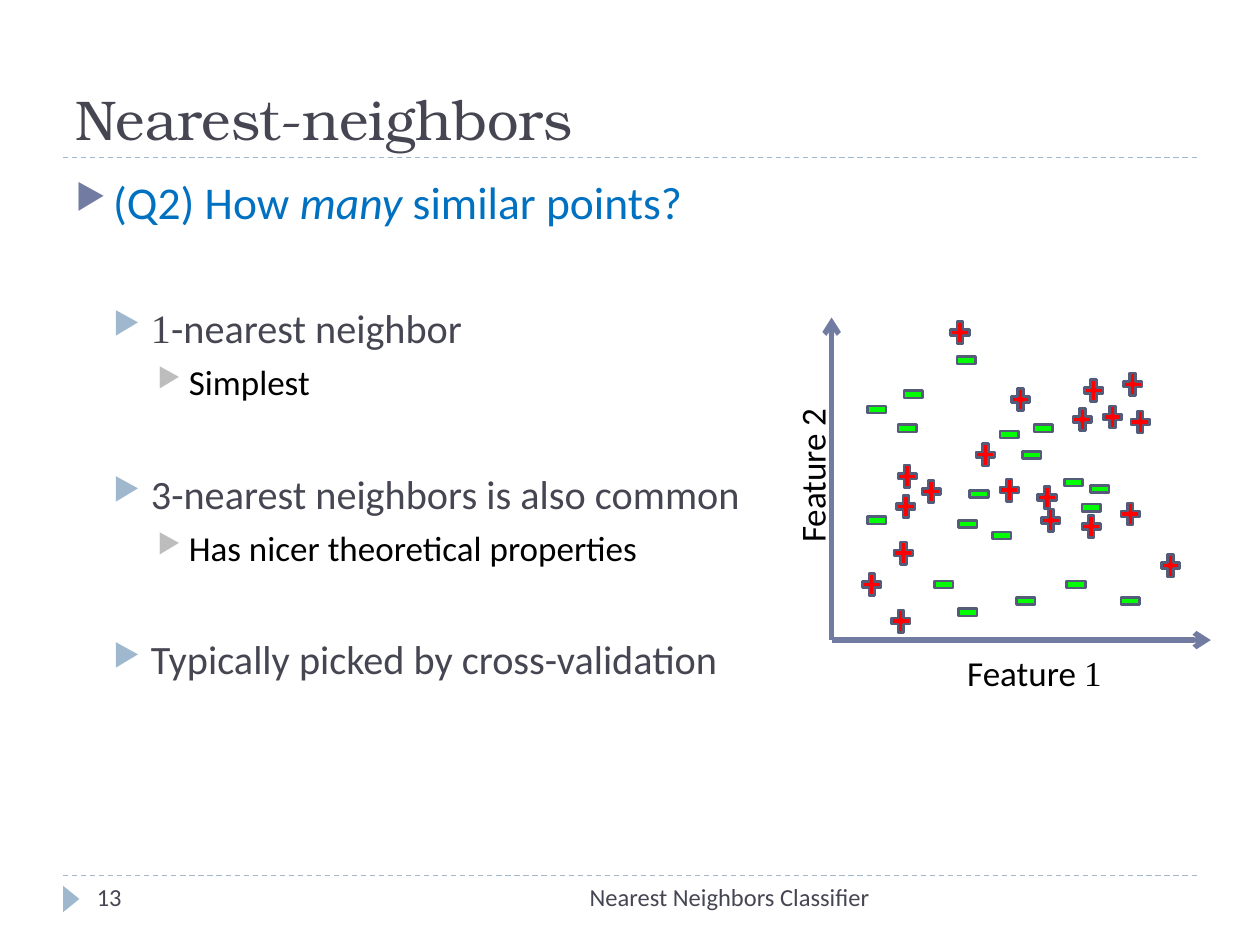
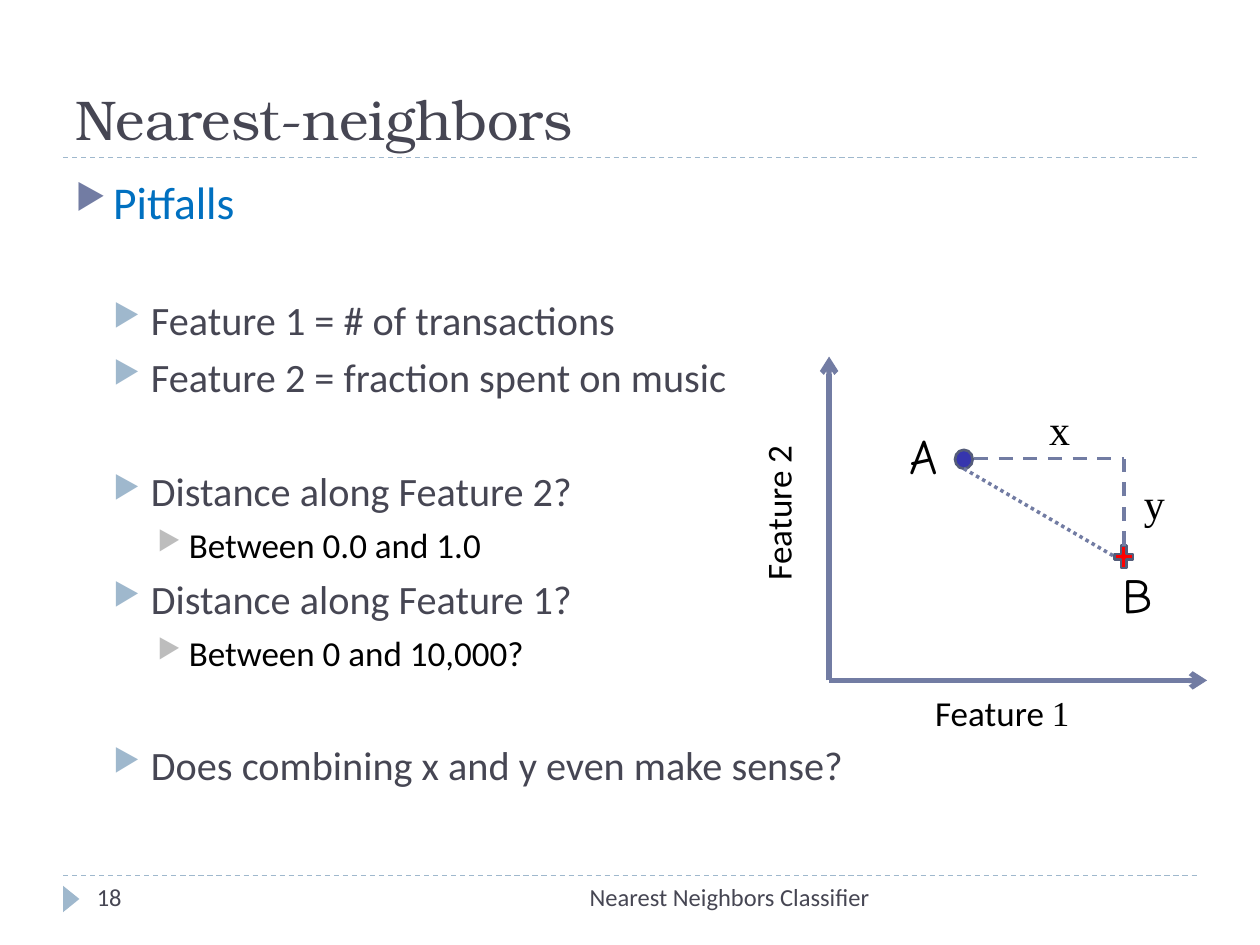
from dataclasses import dataclass

from lxml import etree
from pptx import Presentation
from pptx.dml.color import RGBColor
from pptx.enum.dml import MSO_LINE
from pptx.enum.shapes import MSO_CONNECTOR, MSO_SHAPE
from pptx.enum.text import MSO_ANCHOR, MSO_AUTO_SIZE, PP_ALIGN
from pptx.oxml.ns import qn
from pptx.util import Inches, Pt

LEFT, CENTER, RIGHT = PP_ALIGN.LEFT, PP_ALIGN.CENTER, PP_ALIGN.RIGHT
TOP, BOTTOM = MSO_ANCHOR.TOP, MSO_ANCHOR.BOTTOM
FIXED, GROW = MSO_AUTO_SIZE.NONE, MSO_AUTO_SIZE.SHAPE_TO_FIT_TEXT
DASH, DOTS = MSO_LINE.DASH, MSO_LINE.ROUND_DOT
PLUS, MINUS = MSO_SHAPE.MATH_PLUS, MSO_SHAPE.MATH_MINUS
OVAL, TRIANGLE = MSO_SHAPE.OVAL, MSO_SHAPE.ISOSCELES_TRIANGLE
STRAIGHT = MSO_CONNECTOR.STRAIGHT


@dataclass(frozen=True)
class Level:
    size: float
    color: str
    bullet: str
    margin: float
    indent: float
    before: float


@dataclass(frozen=True)
class Theme:
    ink: str = "464653"
    black: str = "000000"
    axis: str = "727CA3"
    rule: str = "9FB8CD"
    outline: str = "545C79"
    positive: str = "FF0000"
    negative: str = "00FF00"
    query: str = "000099"
    title_font: str = "TeX Gyre Bonum"
    body_font: str = "Calibri"
    math_font: str = "Times New Roman"
    hand_font: str = "Comic Neue"
    title_size: float = 32
    footer_size: float = 14
    label_size: float = 20
    side_size: float = 24
    point_size: float = 28
    levels: tuple = (
        Level(26, "0070C0", "727CA3", 0.3, -0.3, 6),
        Level(23, "464653", "9FB8CD", 0.6, -0.3, 5),
        Level(20, "000000", "BDBDBD", 0.9, -0.25, 5),
    )


def apply(target, formats):
    for attribute, value in formats.items():
        setattr(target, attribute, value)


def add_xml(parent, tag, **attributes):
    return etree.SubElement(parent, qn(tag), attributes)


class Deck:
    def __init__(self, theme):
        self.theme = theme
        self.presentation = Presentation()
        apply(self.presentation, {"slide_width": Inches(10), "slide_height": Inches(7.5)})
        self.slide = None

    def new_slide(self, title, number, footer):
        theme = self.theme
        self.slide = self.presentation.slides.add_slide(self.presentation.slide_layouts[6])
        for y in (6.95, 1.25):
            self.line((0.5, y), (9.5, y), theme.rule, 0.75, DASH)
        self.shape(TRIANGLE, (0.46, 7.07, 0.21, 0.13), theme.rule, outlined=False).rotation = 90
        self.text((0.5, 0.17, 9, 1.08), [(title, {"name": theme.title_font})],
                  theme.title_size, theme.ink, LEFT, BOTTOM, FIXED)
        for box, words, align in (((3.17, 6.95, 3.83, 0.4), footer, RIGHT),
                                  ((0.67, 6.95, 2.17, 0.4), number, LEFT)):
            self.text(box, [(words, {})], theme.footer_size, theme.ink, align, TOP, FIXED)

    def runs(self, paragraph, pieces, size, color):
        for words, formats in pieces:
            run = paragraph.add_run()
            run.text = words
            apply(run.font, {"name": self.theme.body_font, "size": Pt(size), **formats})
            run.font.color.rgb = RGBColor.from_string(color)

    def frame(self, box, anchor, fit):
        holder = self.slide.shapes.add_textbox(*map(Inches, box))
        apply(holder.text_frame, {"word_wrap": True, "auto_size": fit, "vertical_anchor": anchor})
        return holder

    def text(self, box, pieces, size, color, align=CENTER, anchor=TOP, fit=GROW):
        holder = self.frame(box, anchor, fit)
        paragraph = holder.text_frame.paragraphs[0]
        paragraph.alignment = align
        self.runs(paragraph, pieces, size, color)
        return holder

    def outline(self, entries):
        frame = self.frame((0.5, 1.33, 9, 5.4), TOP, FIXED).text_frame
        for index, (depth, gap, pieces) in enumerate(entries):
            level = self.theme.levels[depth]
            paragraph = frame.add_paragraph() if index else frame.paragraphs[0]
            apply(paragraph, {"level": depth, "space_before": Pt(level.before + gap)})
            properties = paragraph._p.get_or_add_pPr()
            properties.set("marL", str(Inches(level.margin)))
            properties.set("indent", str(Inches(level.indent)))
            add_xml(add_xml(properties, "a:buClr"), "a:srgbClr", val=level.bullet)
            add_xml(properties, "a:buSzPct", val="76000")
            add_xml(properties, "a:buChar", char="▶")
            self.runs(paragraph, pieces, level.size, level.color)

    def line(self, start, end, color, width, dash=None, arrow=False):
        connector = self.slide.shapes.add_connector(STRAIGHT, *map(Inches, start + end))
        apply(connector.line, {"width": Pt(width), "dash_style": dash})
        connector.line.color.rgb = RGBColor.from_string(color)
        if arrow:
            add_xml(connector.line._get_or_add_ln(), "a:tailEnd", type="arrow")
        add_xml(connector._element.spPr, "a:effectLst")

    def shape(self, kind, box, fill, outlined=True, opacity=100):
        shape = self.slide.shapes.add_shape(kind, *map(Inches, box))
        shape.shadow.inherit = False
        shape.fill.solid()
        shape.fill.fore_color.rgb = RGBColor.from_string(fill)
        if opacity < 100:
            color = shape._element.spPr.find(qn("a:solidFill"))[0]
            add_xml(color, "a:alpha", val=str(opacity * 1000))
        if outlined:
            shape.line.color.rgb = RGBColor.from_string(self.theme.outline)
            shape.line.width = Pt(1.5)
        else:
            shape.line.fill.background()
        return shape

    def marks(self, kind, fill, corners):
        for left, top in corners:
            self.shape(kind, (left, top, 0.2, 0.24), fill)

    def axes(self, origin, right, top, across_box, up_box):
        theme = self.theme
        for end in ((right, origin[1]), (origin[0], top)):
            self.line(origin, end, theme.axis, 3, arrow=True)
        self.text(across_box, [("Feature ", {}), ("1", {"name": theme.math_font})],
                  theme.label_size, theme.black)
        self.text(up_box, [("Feature 2", {})], theme.label_size, theme.black).rotation = 270


TITLE, FOOTER = "Nearest-neighbors", "Nearest Neighbors Classifier"
WIDE_GAP, GAP = 38, 33

theme = Theme()
deck = Deck(theme)

deck.new_slide(TITLE, "13", FOOTER)
deck.outline([
    (0, 0, [("(Q2) How ", {}), ("many", {"italic": True}), (" similar points?", {})]),
    (1, WIDE_GAP, [("1", {"name": theme.math_font}), ("-nearest neighbor", {})]),
    (2, 0, [("Simplest", {})]),
    (1, GAP, [("3-nearest neighbors is also common", {})]),
    (2, 0, [("Has nicer theoretical properties", {})]),
    (1, GAP, [("Typically picked by cross-validation", {})]),
])
deck.axes((6.6, 5.08), 9.61, 2.52, (6.81, 5.12, 2.8, 0.31), (4.72, 3.64, 3.28, 0.27))
deck.marks(PLUS, theme.positive, [
    (7.09, 3.9), (7.72, 3.49), (8.87, 3.96), (8.95, 3.23), (7.1, 3.66), (7.52, 2.52),
    (8, 3.05), (7.29, 3.78), (8.49, 3.21), (7.05, 4.81), (7.07, 4.27), (7.91, 3.77),
    (9.19, 4.37), (8.73, 3.19), (8.56, 4.06), (8.24, 4.01), (8.21, 3.83), (8.58, 2.98),
    (8.89, 2.93), (6.82, 4.52),
])
deck.marks(MINUS, theme.negative, [
    (7.58, 4.04), (8.18, 3.28), (8.44, 4.52), (8.63, 3.76), (8.09, 3.49), (6.86, 3.13),
    (6.86, 4.01), (7.39, 4.52), (7.85, 4.13), (7.67, 3.8), (7.57, 2.74), (7.91, 3.33),
    (8.56, 3.91), (8.42, 3.71), (7.1, 3.28), (7.15, 3.01), (8.04, 4.65), (7.58, 4.74),
    (8.87, 4.65),
])

deck.new_slide(TITLE, "18", FOOTER)
deck.outline([(depth, gap, [(words, {})]) for depth, gap, words in (
    (0, 0, "Pitfalls"),
    (1, GAP, "Feature 1 = # of transactions"),
    (1, 0, "Feature 2 = fraction spent on music"),
    (1, GAP, "Distance along Feature 2?"),
    (2, 0, "Between 0.0 and 1.0"),
    (1, 0, "Distance along Feature 1?"),
    (2, 0, "Between 0 and 10,000?"),
    (1, GAP, "Does combining x and y even make sense?"),
)])
deck.axes((6.58, 5.4), 9.58, 2.83, (6.87, 5.44, 2.17, 0.44), (5.05, 3.85, 2.25, 0.44))
deck.marks(PLUS, theme.positive, [(8.82, 4.3)])
deck.shape(OVAL, (7.58, 3.57, 0.14, 0.15), theme.query, opacity=79)
corner = (8.92, 3.64)
for start, end, dash in (((7.73, 3.64), corner, DASH), ((8.92, 4.33), corner, DASH),
                         ((7.65, 3.72), (8.85, 4.42), DOTS)):
    deck.line(start, end, theme.axis, 2, dash)
for side, box in (("x", (8.16, 3.15, 0.5, 0.5)), ("y", (8.98, 3.74, 0.35, 0.5))):
    deck.text(box, [(side, {"name": theme.math_font})], theme.side_size, theme.black)
for point, box in (("A", (7.12, 3.33, 0.42, 0.57)), ("B", (8.81, 4.43, 0.42, 0.57))):
    deck.text(box, [(point, {"name": theme.hand_font})], theme.point_size, theme.black, LEFT)

deck.presentation.save("out.pptx")
